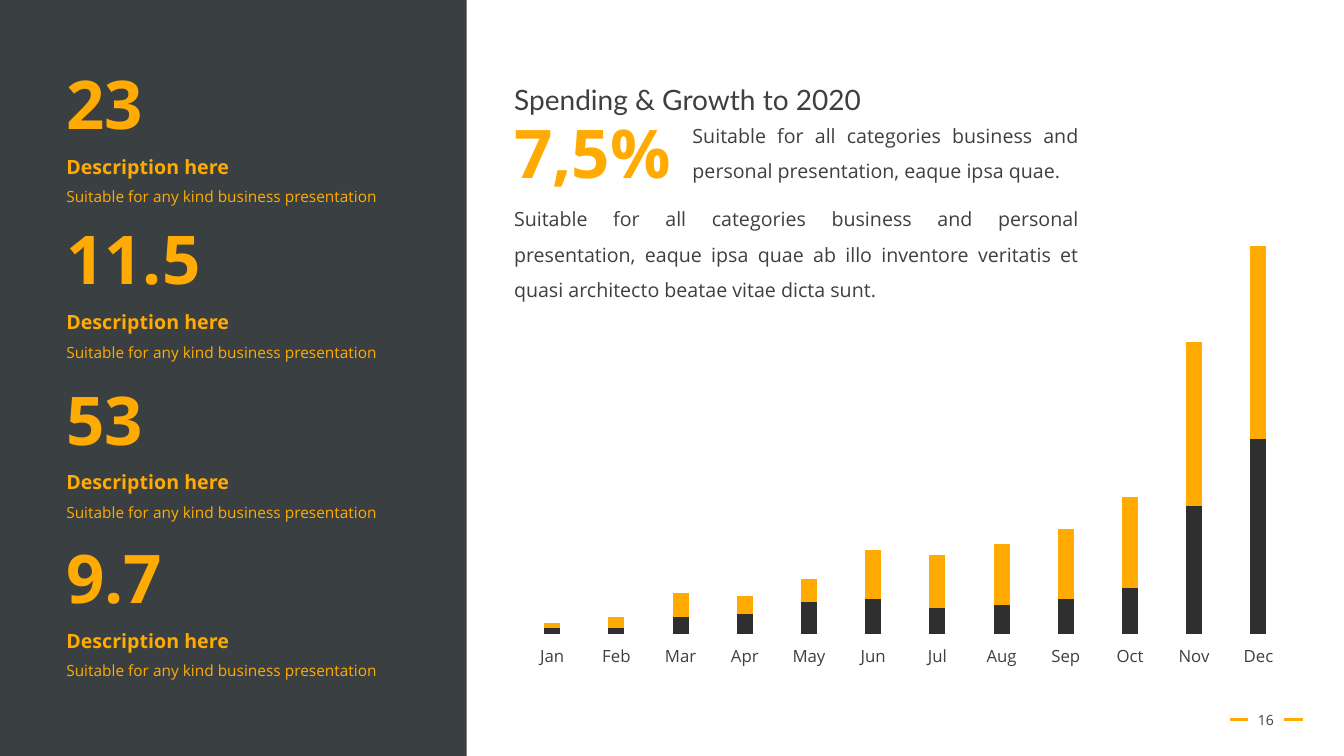
from dataclasses import dataclass

from lxml.etree import SubElement
from pptx import Presentation
from pptx.chart.data import CategoryChartData
from pptx.dml.color import RGBColor
from pptx.enum.chart import XL_CHART_TYPE, XL_TICK_LABEL_POSITION, XL_TICK_MARK
from pptx.enum.shapes import MSO_CONNECTOR, MSO_SHAPE
from pptx.enum.text import MSO_ANCHOR, MSO_AUTO_SIZE, PP_ALIGN
from pptx.oxml import parse_xml
from pptx.oxml.ns import nsdecls, qn
from pptx.util import Inches, Pt

ORANGE = RGBColor(0xFF, 0xAB, 0x03)
SLATE = RGBColor(0x18, 0x1E, 0x20)
GREY = RGBColor(0x3F, 0x3F, 0x3F)
CHARCOAL = RGBColor(0x2F, 0x2F, 0x2F)
SANS = "Open Sans"


@dataclass(frozen=True)
class Line:
    text: str
    size: float
    color: RGBColor = GREY
    bold: bool = False
    spacing: float = 1.5
    align: PP_ALIGN = PP_ALIGN.JUSTIFY
    font: str = SANS


@dataclass(frozen=True)
class Box:
    left: float
    top: float
    width: float
    height: float
    lines: tuple[Line, ...]
    wrap: bool = True
    anchor: MSO_ANCHOR = MSO_ANCHOR.TOP


@dataclass(frozen=True)
class Stat:
    top: float
    value: str


@dataclass(frozen=True)
class Series:
    name: str
    values: tuple[int, ...]
    color: RGBColor


def big_number(text: str) -> Line:
    return Line(text, 48, ORANGE, True, 1.0, PP_ALIGN.LEFT)


def stat_box(stat: Stat) -> Box:
    lines = (
        big_number(stat.value),
        Line("Description here", 14, ORANGE, True, align=PP_ALIGN.LEFT),
        Line("Suitable for any kind business presentation", 11, ORANGE, align=PP_ALIGN.LEFT),
    )
    return Box(0.56, stat.top, 3.3, 1.54, lines, wrap=False)


TITLE = Box(5, 0.6, 5.72, 0.55, (Line("Spending & Growth to 2020", 20, font="Lato"),))
STATS = (Stat(0.57, "23"), Stat(2.11, "11.5"), Stat(3.7, "53"), Stat(5.27, "9.7"))
BOXES = (
    Box(12.26, 6.94, 0.59, 0.4, (Line("16", 10, spacing=1.0, align=PP_ALIGN.CENTER),),
        anchor=MSO_ANCHOR.MIDDLE),
    *(stat_box(stat) for stat in STATS),
    Box(5, 1.89, 5.8, 1.16, (Line(
        "Suitable for all categories business and personal presentation, eaque ipsa quae "
        "ab illo inventore veritatis et quasi architecto beatae vitae dicta sunt.", 14),)),
    Box(5, 1.06, 1.77, 0.91, (big_number("7,5%"),), wrap=False),
    Box(6.77, 1.06, 4.03, 0.81, (Line(
        "Suitable for all categories business and personal presentation, eaque ipsa quae.", 14),)),
)
MONTHS = ("Jan", "Feb", "Mar", "Apr", "May", "Jun", "Jul", "Aug", "Sep", "Oct", "Nov", "Dec")
SERIES = (
    Series("Series 1", (2, 2, 6, 7, 11, 12, 9, 10, 12, 16, 44, 67), CHARCOAL),
    Series("Series 2", (2, 4, 8, 6, 8, 17, 18, 21, 24, 31, 56, 100), ORANGE),
)
PLOT = {"x": 0.07, "y": 0.125, "w": 0.924, "h": 0.719}


def set_all(target, values: dict) -> None:
    for name, value in values.items():
        setattr(target, name, value)


def fill_box(shape, box: Box) -> None:
    set_all(shape, {"left": Inches(box.left), "top": Inches(box.top),
                    "width": Inches(box.width), "height": Inches(box.height)})
    tf = shape.text_frame
    set_all(tf, {"word_wrap": box.wrap, "auto_size": MSO_AUTO_SIZE.NONE,
                 "vertical_anchor": box.anchor})
    for i, line in enumerate(box.lines):
        p = tf.add_paragraph() if i else tf.paragraphs[0]
        set_all(p, {"alignment": line.align, "line_spacing": line.spacing})
        r = p.add_run()
        r.text = line.text
        set_all(r.font, {"name": line.font, "size": Pt(line.size), "bold": line.bold})
        r.font.color.rgb = line.color


def add_panel(s) -> None:
    panel = s.shapes.add_shape(MSO_SHAPE.RECTANGLE, 0, 0, Inches(4.63), Inches(7.5))
    panel.shadow.inherit = False
    panel.fill.solid()
    panel.fill.fore_color.rgb = SLATE
    panel.line.fill.background()
    color = panel.fill._xPr.find(qn("a:solidFill"))[0]
    SubElement(color, qn("a:alpha"), val="85000")


def add_dash(s, left: float) -> None:
    y = Inches(7.14)
    dash = s.shapes.add_connector(
        MSO_CONNECTOR.STRAIGHT, Inches(left), y, Inches(left + 0.18), y)
    dash.line.color.rgb = ORANGE
    dash.line.width = Pt(1.75)
    SubElement(dash._element.spPr, qn("a:effectLst"))


def add_spending_chart(s) -> None:
    data = CategoryChartData()
    data.categories = MONTHS
    for series in SERIES:
        data.add_series(series.name, series.values)
    chart = s.shapes.add_chart(XL_CHART_TYPE.COLUMN_STACKED, Inches(4.58), Inches(1.77),
                               Inches(8.27), Inches(5.36), data).chart
    set_all(chart, {"has_title": False, "has_legend": False})
    set_all(chart.font, {"name": SANS, "size": Pt(12)})
    chart.font.color.rgb = GREY

    plot = chart.plots[0]
    set_all(plot, {"gap_width": 300, "overlap": 100, "vary_by_categories": False})
    for drawn, series in zip(plot.series, SERIES):
        drawn.format.fill.solid()
        drawn.format.fill.fore_color.rgb = series.color

    set_all(chart.category_axis, {
        "major_tick_mark": XL_TICK_MARK.NONE, "minor_tick_mark": XL_TICK_MARK.NONE,
        "tick_label_position": XL_TICK_LABEL_POSITION.LOW, "has_major_gridlines": False})
    chart.category_axis.format.line.fill.background()
    set_all(chart.value_axis, {"minimum_scale": 0, "maximum_scale": 133,
                               "has_major_gridlines": False, "visible": False})

    area = chart._chartSpace.chart.plotArea
    for old in area.findall(qn("c:layout")):
        area.remove(old)
    modes = '<c:layoutTarget val="inner"/><c:xMode val="edge"/><c:yMode val="edge"/>'
    sizes = "".join(f'<c:{key} val="{value}"/>' for key, value in PLOT.items())
    area.insert(0, parse_xml(
        f'<c:layout {nsdecls("c")}><c:manualLayout>{modes}{sizes}</c:manualLayout></c:layout>'))
    chart._chartSpace.chart.addnext(parse_xml(
        f'<c:spPr {nsdecls("c", "a")}><a:noFill/><a:ln><a:noFill/></a:ln></c:spPr>'))


def main() -> None:
    prs = Presentation()
    set_all(prs, {"slide_width": Inches(13.33), "slide_height": Inches(7.5)})
    s = prs.slides.add_slide(prs.slide_layouts[5])
    for left in (12.2, 12.74):
        add_dash(s, left)
    add_panel(s)
    add_spending_chart(s)
    fill_box(s.shapes.title, TITLE)
    for box in BOXES:
        fill_box(s.shapes.add_textbox(0, 0, 0, 0), box)
    prs.save("out.pptx")


if __name__ == "__main__":
    main()
